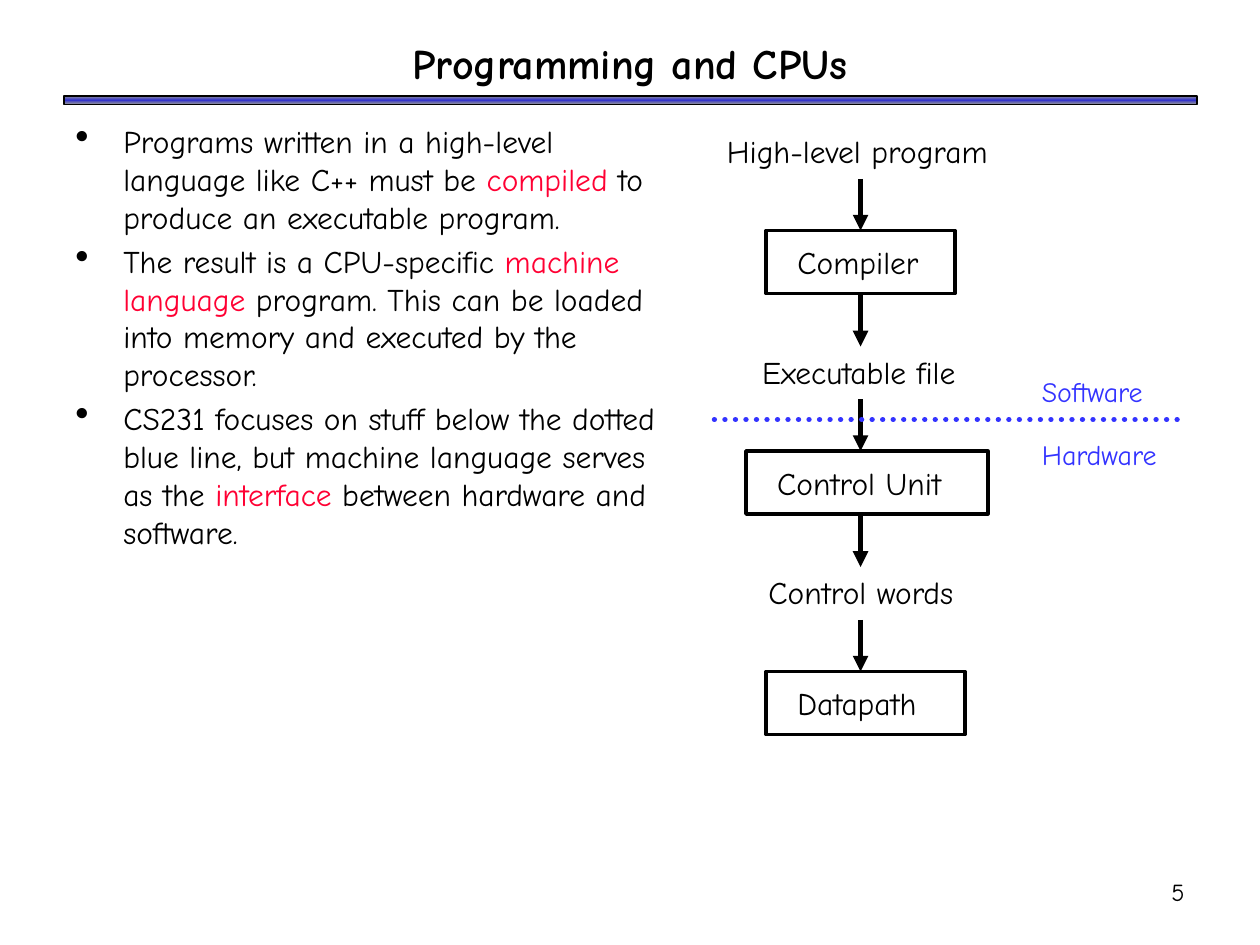
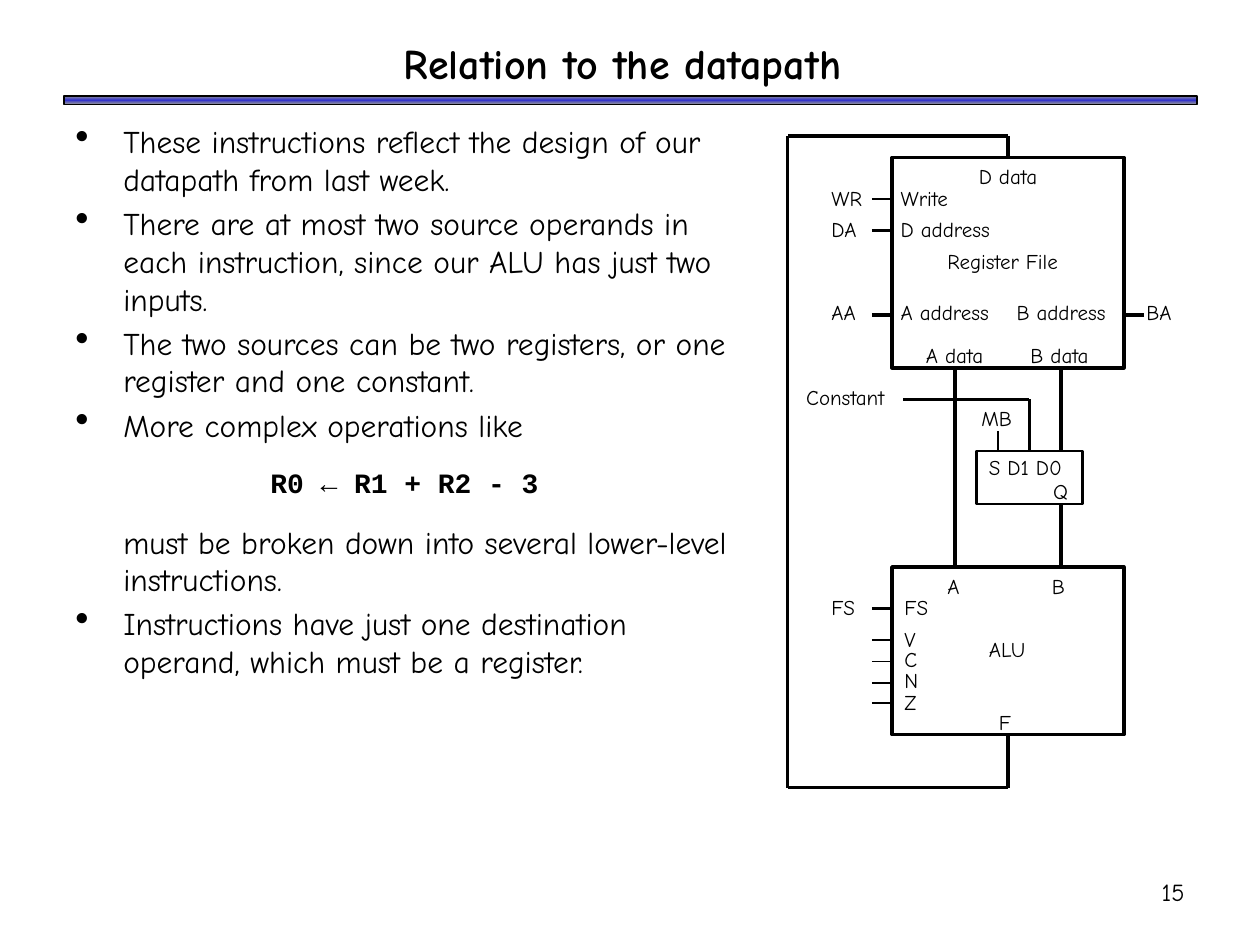
from dataclasses import dataclass
from copy import deepcopy
from itertools import pairwise

from lxml.etree import SubElement
from pptx import Presentation
from pptx.dml.color import RGBColor
from pptx.enum.dml import MSO_LINE
from pptx.enum.shapes import MSO_CONNECTOR, MSO_SHAPE
from pptx.enum.text import MSO_ANCHOR, MSO_AUTO_SIZE, PP_ALIGN
from pptx.oxml.ns import qn
from pptx.util import Inches, Pt


@dataclass(frozen=True)
class Theme:
    ink: RGBColor = RGBColor(0x00, 0x00, 0x00)
    accent: RGBColor = RGBColor(0xFF, 0x00, 0x33)
    border_blue: RGBColor = RGBColor(0x33, 0x33, 0xFF)
    band_edge: RGBColor = RGBColor(0x96, 0x96, 0x96)
    band_middle: RGBColor = RGBColor(0x33, 0x33, 0xCC)
    font: str = "Comic Neue"
    code_font: str = "Courier New"
    title: int = 24
    body: int = 18
    code: int = 16
    side: int = 16
    number: int = 14
    pin: int = 12


theme = Theme()

# Paragraph kinds: bullet character, left margin, hanging indent, space before and after in percent
KINDS = {
    "bullet": ("•", 0.38, -0.38, 20, 0),
    "code": (None, 0, 0, 80, 60),
    "continued": (None, 0.38, 0, 20, 0),
}

# Labels: size, colour, then (text, left, top, width)
# Boxes: left, top, width, height, line width
# Wires: line width, style, then the points they run through
AXIS = 6.83
compiler_page = {
    "title": "Programming and CPUs",
    "number": "5",
    "body_width": 4.92,
    "body": [
        ("bullet", "Programs written in a high-level language like C++ must be "
                   "*compiled* to produce an executable program."),
        ("bullet", "The result is a CPU-specific *machine language* program. "
                   "This can be loaded into memory and executed by the processor."),
        ("bullet", "CS231 focuses on stuff below the dotted blue line, but machine language "
                   "serves as the *interface* between hardware and software."),
    ],
    "labels": [
        (theme.body, theme.ink, [
            ("High-level program", 5.67, 1, 2.41),
            ("Compiler", 6.23, 1.88, 1.21),
            ("Executable file", 5.95, 2.75, 1.75),
            ("Control Unit", 6.07, 3.63, 1.63),
            ("Control words", 6, 4.5, 1.82),
            ("Datapath", 6.23, 5.38, 1.28),
        ]),
        (theme.side, theme.border_blue, [
            ("Software", 8.17, 2.92, 1.19),
            ("Hardware", 8.17, 3.42, 1.22),
        ]),
    ],
    "boxes": [
        (6.08, 1.83, 1.5, 0.5, 2),
        (5.92, 3.58, 1.92, 0.5, 2),
        (6.08, 5.33, 1.58, 0.5, 2),
    ],
    "wires": [
        *[(3, "arrow", [(AXIS, top), (AXIS, bottom)]) for top, bottom in
          [(1.42, 1.83), (2.33, 2.75), (3.17, 3.58), (4.08, 4.5), (4.92, 5.33)]],
        (3, "dotted", [(5.67, 3.33), (9.42, 3.33)]),
    ],
}

FLAG_TOPS = [4.92, 5.08, 5.25, 5.42]
datapath_page = {
    "title": "Relation to the datapath ",
    "number": "15",
    "body_width": 5.42,
    "body": [
        ("bullet", "These instructions reflect the design of our datapath from last week."),
        ("bullet", "There are at most two source operands in each instruction, "
                   "since our ALU has just two inputs."),
        ("bullet", "The two sources can be two registers, or one register and one constant."),
        ("bullet", "More complex operations like"),
        ("code", "R0 ← R1 + R2 - 3"),
        ("continued", "must be broken down into several lower-level instructions."),
        ("bullet", "Instructions have just one destination operand, which must be a register."),
    ],
    "labels": [
        (theme.pin, theme.ink, [
            ("D data", 7.67, 1.25, 0.72),
            ("Write", 7.05, 1.42, 0.67),
            ("D address", 7.05, 1.67, 0.99),
            ("Register File", 7.42, 1.92, 1.2),
            ("A address", 7.05, 2.33, 0.99),
            ("B address", 7.97, 2.33, 0.97),
            ("A data", 7.25, 2.67, 0.72),
            ("B data", 8.08, 2.67, 0.7),
            ("WR", 6.5, 1.42, 0.48),
            ("DA", 6.5, 1.67, 0.44),
            ("AA", 6.5, 2.33, 0.44),
            ("BA", 9, 2.33, 0.43),
            ("Constant", 6.3, 3, 0.89),
            ("MB", 7.69, 3.17, 0.45),
            ("S D1 D0", 7.75, 3.56, 0.84),
            ("Q", 8.26, 3.75, 0.32),
            ("A", 7.42, 4.5, 0.32),
            ("B", 8.25, 4.5, 0.31),
            ("FS", 6.5, 4.67, 0.42),
            ("FS", 7.08, 4.67, 0.42),
            ("ALU", 7.75, 5, 0.54),
            ("F", 7.83, 5.58, 0.3),
            *[(flag, 7.08, top, 0.32) for flag, top in zip("VCNZ", FLAG_TOPS)],
        ]),
    ],
    "boxes": [
        (7.08, 1.25, 1.84, 1.67, 2),
        (7.75, 3.58, 0.84, 0.42, 1.5),
        (7.08, 4.5, 1.84, 1.33, 2),
    ],
    "wires": [
        (2, "plain", [(8, 1.25), (8, 1.08), (6.25, 1.08), (6.25, 6.25), (8, 6.25), (8, 5.83)]),
        (2, "plain", [(7.58, 2.92), (7.58, 4.5)]),
        (2, "plain", [(8.42, 2.92), (8.42, 3.58)]),
        (2, "plain", [(8.42, 4), (8.42, 4.5)]),
        (2, "plain", [(7.17, 3.17), (8.17, 3.17), (8.17, 3.58)]),
        (1, "plain", [(7.92, 3.42), (7.92, 3.58)]),
        (2, "plain", [(9.08, 2.5), (8.92, 2.5)]),
        *[(2, "plain", [(6.92, y), (7.08, y)]) for y in (1.83, 2.5, 4.83)],
        *[(1, "plain", [(6.92, y), (7.08, y)]) for y in (1.58, 5.08, 5.25, 5.42, 5.58)],
    ],
}


def add_text(page, text, left, top, width, height, size, color=theme.ink, wrap=True):
    """Add a one-paragraph text box and return it."""
    box = page.shapes.add_textbox(Inches(left), Inches(top), Inches(width), Inches(height))
    box.text_frame.word_wrap = wrap
    para = box.text_frame.paragraphs[0]
    para.text = text
    para.font.name = theme.font
    para.font.size = Pt(size)
    para.font.color.rgb = color
    return box


def format_paragraph(para, kind):
    """Set indents, proportional spacing and bullet of a body paragraph."""
    bullet, margin, indent, before, after = KINDS[kind]
    properties = para._p.get_or_add_pPr()
    properties.set("marL", str(Inches(margin)))
    properties.set("indent", str(Inches(indent)))
    for tag, percent in (("a:spcBef", before), ("a:spcAft", after)):
        SubElement(SubElement(properties, qn(tag)), qn("a:spcPct"), val=str(percent * 1000))
    if bullet:
        SubElement(properties, qn("a:buSzPct"), val="125000")
        SubElement(properties, qn("a:buChar"), char=bullet)
    else:
        SubElement(properties, qn("a:buNone"))
    para.font.name = theme.code_font if kind == "code" else theme.font
    para.font.size = Pt(theme.code if kind == "code" else theme.body)
    para.font.bold = kind == "code"
    para.alignment = PP_ALIGN.CENTER if kind == "code" else PP_ALIGN.LEFT


deck = Presentation()
deck.slide_width, deck.slide_height = Inches(10), Inches(7.5)

for content in (compiler_page, datapath_page):
    page = deck.slides.add_slide(deck.slide_layouts[6])

    # Title band, title and page number
    band = page.shapes.add_shape(MSO_SHAPE.RECTANGLE, Inches(0.51), Inches(0.76),
                                 Inches(8.99), Inches(0.07))
    band.shadow.inherit = False
    band.line.color.rgb = theme.ink
    band.line.width = Pt(1)
    band.fill.gradient()
    band.fill.gradient_angle = 90
    stop_list = next(band._element.iter(qn("a:gsLst")))
    stop_list.insert(1, deepcopy(stop_list[0]))
    band_colors = (theme.band_edge, theme.band_middle, theme.band_edge)
    for index, (stop, color) in enumerate(zip(band.fill.gradient_stops, band_colors)):
        stop.color.rgb = color
        stop.position = index / 2

    title = add_text(page, content["title"], 0.5, 0.25, 9, 0.5, theme.title)
    title.text_frame.paragraphs[0].font.bold = True
    title.text_frame.paragraphs[0].alignment = PP_ALIGN.CENTER
    number = add_text(page, content["number"], 7.42, 6.83, 2.08, 0.5, theme.number)
    number.text_frame.paragraphs[0].alignment = PP_ALIGN.RIGHT
    for box in (title, number):
        box.text_frame.vertical_anchor = MSO_ANCHOR.MIDDLE

    # Body text: words between asterisks are accented
    body = page.shapes.add_textbox(Inches(0.5), Inches(0.92),
                                   Inches(content["body_width"]), Inches(5.67))
    body.text_frame.word_wrap = True
    for index, (kind, text) in enumerate(content["body"]):
        para = body.text_frame.add_paragraph() if index else body.text_frame.paragraphs[0]
        format_paragraph(para, kind)
        for part, words in enumerate(text.split("*")):
            span = para.add_run()
            span.text = words
            span.font.color.rgb = theme.accent if part % 2 else theme.ink

    # Diagram
    for size, color, labels in content["labels"]:
        for text, left, top, width in labels:
            label = add_text(page, text, left, top, width, size / 60 + 0.1, size, color, wrap=False)
            label.text_frame.auto_size = MSO_AUTO_SIZE.SHAPE_TO_FIT_TEXT

    joints = []
    for left, top, width, height, line_width in content["boxes"]:
        block = page.shapes.add_shape(MSO_SHAPE.RECTANGLE, Inches(left), Inches(top),
                                      Inches(width), Inches(height))
        block.shadow.inherit = False
        block.fill.background()
        block.line.color.rgb = theme.ink
        block.line.width = Pt(line_width)
        middle_x, middle_y = left + width / 2, top + height / 2
        sides = [(middle_x, top), (left, middle_y), (middle_x, top + height), (left + width, middle_y)]
        joints += [(block, site, x, y) for site, (x, y) in enumerate(sides)]

    for line_width, style, points in content["wires"]:
        for start, end in pairwise(points):
            wire = page.shapes.add_connector(MSO_CONNECTOR.STRAIGHT,
                                             *[Inches(value) for value in start + end])
            wire.line.width = Pt(line_width)
            wire.line.color.rgb = theme.border_blue if style == "dotted" else theme.ink
            outline = wire.line._get_or_add_ln()
            if style == "dotted":
                wire.line.dash_style = MSO_LINE.ROUND_DOT
                outline.set("cap", "rnd")
            elif style == "arrow":
                SubElement(outline, qn("a:tailEnd"), type="triangle")
            SubElement(wire._element.spPr, qn("a:effectLst"))
            for (x, y), join in ((start, wire.begin_connect), (end, wire.end_connect)):
                for block, site, side_x, side_y in joints:
                    if abs(x - side_x) < 0.01 and abs(y - side_y) < 0.01:
                        join(block, site)

deck.save("out.pptx")
